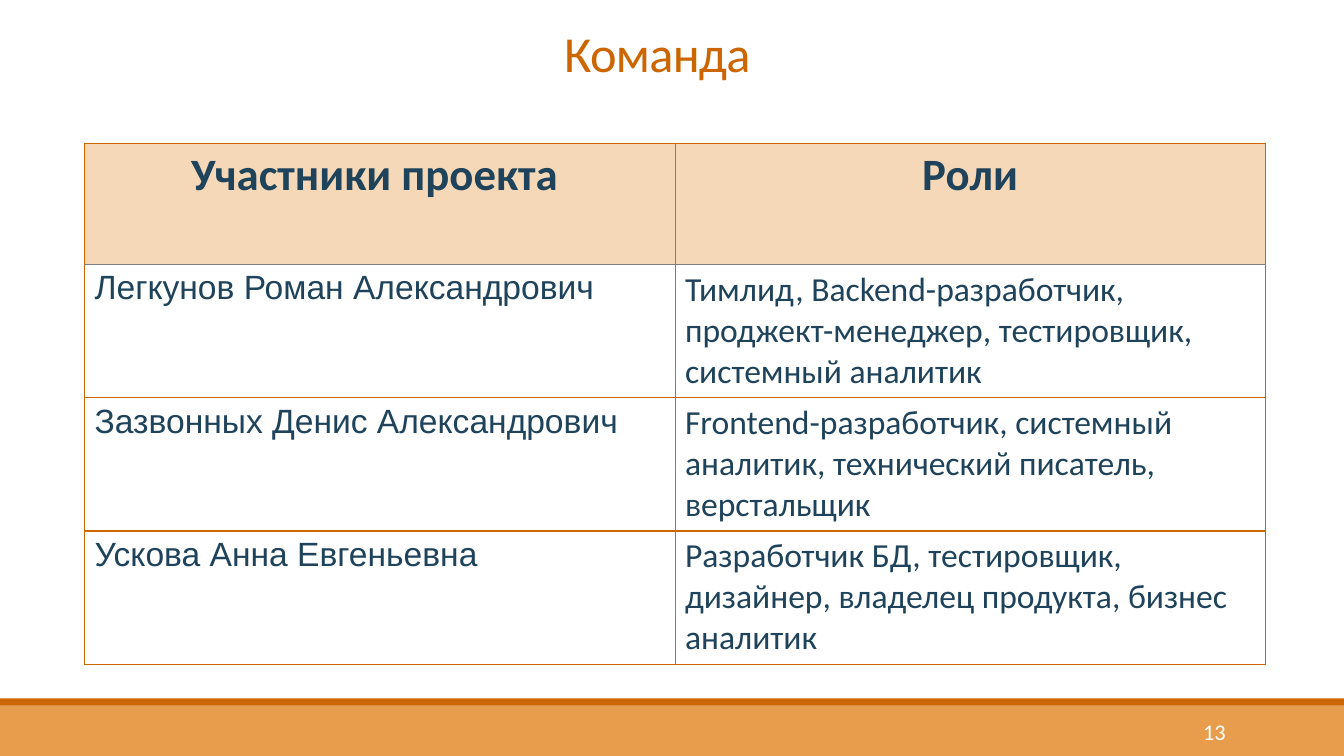
import pptx
import pptx.util
import pptx.dml.color
import pptx.enum.shapes
import pptx.enum.text
from lxml import etree

Cm, Pt = pptx.util.Cm, pptx.util.Pt
ALIGN = pptx.enum.text.PP_ALIGN
ANCHOR = pptx.enum.text.MSO_ANCHOR
NS = "http://schemas.openxmlformats.org/drawingml/2006/main"

COLORS = {
    "orange": "CC6600",
    "footer": "E79D4B",
    "header": "F5D8B7",
    "text": "1F435B",
    "grid": "7F7F7F",
    "white": "FFFFFF",
}

FORMATS = {
    "title": {"name": "Calibri", "size": Pt(36)},
    "number": {"name": "Calibri", "size": Pt(16)},
    "header": {"name": "Calibri", "size": Pt(32), "bold": True},
    "member": {"name": "Arial", "size": Pt(24), "bold": False},
    "role": {"name": "Calibri", "size": Pt(24), "bold": False},
}

HEADERS = ("Участники проекта ", "Роли")
TEAM = (
    ("Легкунов Роман Александрович",
     "Тимлид, Backend-разработчик, проджект-менеджер, тестировщик, системный аналитик"),
    ("Зазвонных Денис Александрович",
     "Frontend-разработчик, системный аналитик, технический писатель, верстальщик"),
    ("Ускова Анна Евгеньевна",
     "Разработчик БД, тестировщик, дизайнер, владелец продукта, бизнес аналитик"),
)


def rgb(color):
    return pptx.dml.color.RGBColor.from_string(COLORS[color])


def write(tf, text, style, color, align=ALIGN.LEFT):
    p = tf.paragraphs[0]
    p.alignment = align
    r = p.add_run()
    r.text = text
    for key, value in FORMATS[style].items():
        setattr(r.font, key, value)
    r.font.color.rgb = rgb(color)
    return p, r


def add_bar(s, top, height, color):
    sp = s.shapes.add_shape(pptx.enum.shapes.MSO_SHAPE.RECTANGLE,
                            Cm(0), Cm(top), Cm(33.87), Cm(height))
    sp.shadow.inherit = False
    sp.fill.solid()
    sp.fill.fore_color.rgb = rgb(color)
    sp.line.fill.background()


def add_text(s, box, text, style, color, anchor, align=ALIGN.LEFT):
    tf = s.shapes.add_textbox(*map(Cm, box)).text_frame
    tf.word_wrap = True
    tf.vertical_anchor = anchor
    return write(tf, text, style, color, align)


def set_borders(cell, borders):
    # Border lines come before the fill in the cell properties
    tcPr = cell._tc.get_or_add_tcPr()
    for i, (side, color) in enumerate(borders.items()):
        width = Pt(0.5) if color == "grid" else Pt(1)
        ln = etree.Element(f"{{{NS}}}ln{side}", w=str(int(width)))
        fill = etree.SubElement(ln, f"{{{NS}}}solidFill")
        etree.SubElement(fill, f"{{{NS}}}srgbClr", val=COLORS[color])
        tcPr.insert(i, ln)


def add_team_table(s):
    rows = (HEADERS,) + TEAM
    heights = [3.05] + [3.36] * len(TEAM)
    table = s.shapes.add_table(len(rows), 2, Cm(2.13), Cm(3.61),
                               Cm(29.76), Cm(sum(heights))).table
    for column in table.columns:
        column.width = Cm(14.88)
    for i, (values, height) in enumerate(zip(rows, heights)):
        table.rows[i].height = Cm(height)
        for j, value in enumerate(values):
            cell = table.cell(i, j)
            style = "header" if i == 0 else ("member", "role")[j]
            write(cell.text_frame, value, style, "text",
                  ALIGN.CENTER if i == 0 else ALIGN.LEFT)
            cell.fill.solid()
            cell.fill.fore_color.rgb = rgb("header" if i == 0 else "white")
            set_borders(cell, {
                "L": "grid" if j == 1 else "orange",
                "R": "grid" if j == 0 else "orange",
                "T": "grid" if i == 1 else "orange",
                "B": "grid" if i == 0 else "orange",
            })


def main():
    prs = pptx.Presentation()
    prs.slide_width, prs.slide_height = Cm(33.87), Cm(19.05)
    s = prs.slides.add_slide(prs.slide_layouts[6])

    # Footer bars
    add_bar(s, 17.78, 1.27, "footer")
    add_bar(s, 17.6, 0.18, "orange")

    # Title
    p, r = add_text(s, (13.97, -1.83, 7.57, 4.04), "Команда", "title",
                    "orange", ANCHOR.BOTTOM)
    p.line_spacing = 0.85
    r.font._element.set("spc", "-50")

    # Slide number
    add_text(s, (27.51, 17.93, 3.63, 1.02), "13", "number", "white",
             ANCHOR.MIDDLE, ALIGN.RIGHT)

    # Team members and roles
    add_team_table(s)

    prs.save("out.pptx")


if __name__ == "__main__":
    main()
